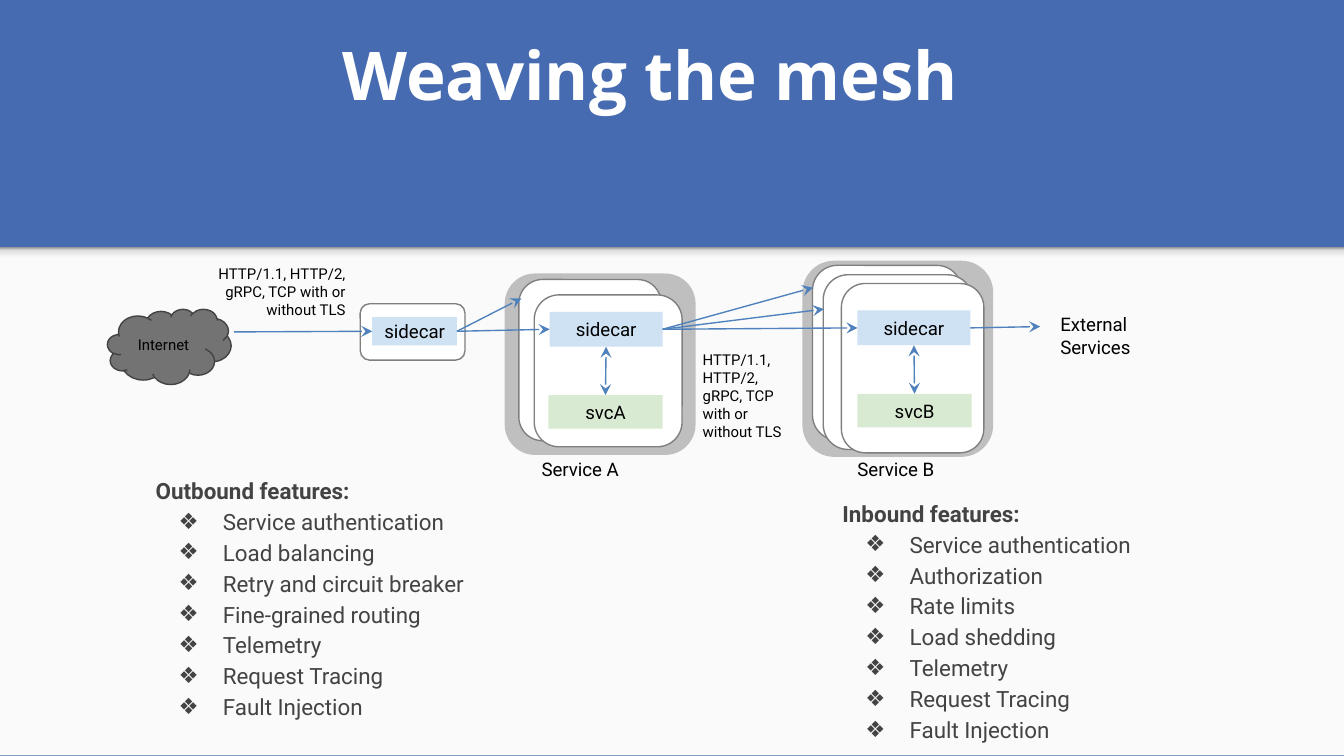
import pptx
import pptx.dml.color
import pptx.enum.shapes
import pptx.enum.text
import pptx.oxml
import pptx.oxml.ns
import pptx.util
from pptx.util import Inches

SHAPES = pptx.enum.shapes.MSO_SHAPE
ALIGN = pptx.enum.text.PP_ALIGN
ANCHOR = pptx.enum.text.MSO_ANCHOR
NAMESPACE = pptx.oxml.ns.nsdecls("a")


def color(value):
    return pptx.dml.color.RGBColor.from_string(value)


def write(shape, text, size=10, font="Roboto", fill="000000", bold=False, align=ALIGN.LEFT,
          anchor=ANCHOR.TOP, insets=(0.08, 0.04), spacing=None, bullet=None):
    frame = shape.text_frame
    frame.word_wrap = True
    frame.vertical_anchor = anchor
    frame.margin_left = frame.margin_right = Inches(insets[0])
    frame.margin_top = frame.margin_bottom = Inches(insets[1])
    for index, line in enumerate(text.split("\n")):
        paragraph = frame.paragraphs[0] if index == 0 else frame.add_paragraph()
        paragraph.alignment = align
        if spacing:
            paragraph.line_spacing = spacing
        if bullet and index:
            properties = paragraph._p.get_or_add_pPr()
            properties.set("marL", str(Inches(0.5)))
            properties.set("indent", str(Inches(-0.33)))
            for element in (f'<a:buClr {NAMESPACE}><a:srgbClr val="{fill}"/></a:buClr>',
                            f'<a:buSzPts {NAMESPACE} val="{size * 100}"/>',
                            f'<a:buFont {NAMESPACE} typeface="{font}"/>',
                            f'<a:buChar {NAMESPACE} char="{bullet}"/>'):
                properties.append(pptx.oxml.parse_xml(element))
        run = paragraph.add_run()
        run.text = line
        run.font.size = pptx.util.Pt(size)
        run.font.name = font
        run.font.bold = bold or bool(bullet and index == 0)
        run.font.color.rgb = color(fill)


def add_shape(kind, box, fill, line=None):
    shape = slide.shapes.add_shape(kind, *map(Inches, box))
    shape.shadow.inherit = False
    shape.fill.solid()
    shape.fill.fore_color.rgb = color(fill)
    if line:
        shape.line.color.rgb = color(line)
        shape.line.width = pptx.util.Pt(0.75)
    else:
        shape.line.fill.background()
    return shape


presentation = pptx.Presentation()
presentation.slide_width = Inches(10)
presentation.slide_height = Inches(10) * 9 // 16
slide = presentation.slides.add_slide(presentation.slide_layouts[6])
slide.background.fill.solid()
slide.background.fill.fore_color.rgb = color("466BB0")

add_shape(SHAPES.RECTANGLE, (0, 1.84, 10, 3.78), "FAFAFA")
header_shadow = add_shape(SHAPES.RECTANGLE, (0, 1.84, 10, 0.12), "F9F9F9")
header_shadow.fill.gradient()
header_shadow.fill.gradient_angle = 90
stops = header_shadow._element.spPr.find(".//" + pptx.oxml.ns.qn("a:gsLst"))
for stop in list(stops):
    stops.remove(stop)
for position, shade in ((0, "F9F9F9"), (36, "F9F9F9"), (80, "DEDEDE"), (100, "999999")):
    stops.append(pptx.oxml.parse_xml(
        f'<a:gs {NAMESPACE} pos="{position * 1000}"><a:srgbClr val="{shade}"/></a:gs>'))

panels = [
    ((3.79, 2, 1.35, 1.42), "BFBFBF", None),
    ((3.79, 2.15, 1.2, 1.06), "FFFFFF", "7F7F7F"),
    ((3.96, 2.21, 1.13, 1.1), "FFFFFF", "7F7F7F"),
    ((2.86, 2.08, 0.42, 0.78), "FFFFFF", "7F7F7F"),
    ((5.95, 1.96, 1.46, 1.42), "BFBFBF", None),
    ((5.95, 2.07, 1.3, 1.11), "FFFFFF", "7F7F7F"),
    ((6.03, 2.14, 1.3, 1.11), "FFFFFF", "7F7F7F"),
    ((6.16, 2.21, 1.26, 1.06), "FFFFFF", "7F7F7F"),
]
for box, fill, line in panels:
    panel = add_shape(SHAPES.ROUNDED_RECTANGLE, box, fill, line)
    panel.adjustments[0] = 0.167
    panel.rotation = 90

blocks = {}
for name, text, box, fill in [
    ("gateway", "sidecar", (2.77, 2.36, 0.63, 0.21), "CFE2F3"),
    ("sidecar A", "sidecar", (4.09, 2.32, 0.84, 0.26), "CFE2F3"),
    ("service A", "svcA", (4.08, 2.94, 0.85, 0.25), "D9EAD3"),
    ("sidecar B", "sidecar", (6.38, 2.31, 0.84, 0.26), "CFE2F3"),
    ("service B", "svcB", (6.38, 2.93, 0.85, 0.25), "D9EAD3"),
]:
    blocks[name] = add_shape(SHAPES.RECTANGLE, box, fill)
    write(blocks[name], text, align=ALIGN.CENTER, anchor=ANCHOR.MIDDLE)

cloud = add_shape(SHAPES.CLOUD, (0.8, 2.3, 0.92, 0.56), "737373", "424242")
write(cloud, "Internet", size=8, anchor=ANCHOR.MIDDLE, insets=(0.1, 0.1))

TOP, LEFT, BOTTOM, RIGHT = range(4)
arrows = [
    ((1.74, 2.47), ("gateway", LEFT), False),
    (("gateway", RIGHT), ("sidecar A", LEFT), False),
    (("gateway", RIGHT), (3.88, 2.22), False),
    (("sidecar A", BOTTOM), ("service A", TOP), True),
    (("sidecar A", RIGHT), ("sidecar B", LEFT), False),
    (("sidecar A", RIGHT), (6.05, 2.14), False),
    (("sidecar A", RIGHT), (6.13, 2.3), False),
    (("sidecar B", BOTTOM), ("service B", TOP), True),
    (("sidecar B", RIGHT), (7.74, 2.43), False),
]
for start, end, both_ways in arrows:
    points = [(0, 0) if point[0] in blocks else point for point in (start, end)]
    arrow = slide.shapes.add_connector(
        pptx.enum.shapes.MSO_CONNECTOR.STRAIGHT, *map(Inches, points[0] + points[1]))
    if start[0] in blocks:
        arrow.begin_connect(blocks[start[0]], start[1])
    if end[0] in blocks:
        arrow.end_connect(blocks[end[0]], end[1])
    arrow.line.color.rgb = color("4F81BD")
    arrow.line.width = pptx.util.Pt(0.75)
    line = arrow.line._get_or_add_ln()
    for tag in ("headEnd", "tailEnd") if both_ways else ("tailEnd",):
        line.append(pptx.oxml.parse_xml(f'<a:{tag} {NAMESPACE} type="stealth"/>'))
    arrow._element.spPr.append(pptx.oxml.parse_xml(f"<a:effectLst {NAMESPACE}/>"))

protocols = "HTTP/1.1, HTTP/2, gRPC, TCP with or without TLS"
outbound = """Outbound features:
Service authentication
Load balancing
Retry and circuit breaker
Fine-grained routing
Telemetry
Request Tracing
Fault Injection"""
inbound = """Inbound features:
Service authentication
Authorization
Rate limits
Load shedding
Telemetry
Request Tracing
Fault Injection"""
protocol_format = dict(size=8, insets=(0.1, 0.1))
feature_format = dict(size=12, fill="434343", insets=(0.1, 0.1), spacing=1.15, bullet="❖")
for text, box, text_format in [
    ("Weaving the mesh", (2.45, 0.32, 5.1, 0.63),
     dict(size=36, font="Open Sans", fill="FFFFFF", bold=True, anchor=ANCHOR.BOTTOM, insets=(0.1, 0.1))),
    (outbound, (1.06, 3.42, 2.55, 2.11), feature_format),
    (inbound, (6.17, 3.59, 2.6, 1.94), feature_format),
    ("Service A", (3.95, 3.37, 0.92, 0.22), {}),
    ("Service B", (6.3, 3.37, 0.84, 0.22), {}),
    ("External\nServices", (7.81, 2.29, 0.7, 0.37), {}),
    (protocols, (1.22, 1.87, 1.45, 0.6), dict(protocol_format, align=ALIGN.RIGHT)),
    (protocols, (5.13, 2.51, 0.84, 0.6), protocol_format),
]:
    write(slide.shapes.add_textbox(*map(Inches, box)), text, **text_format)

presentation.save("out.pptx")
